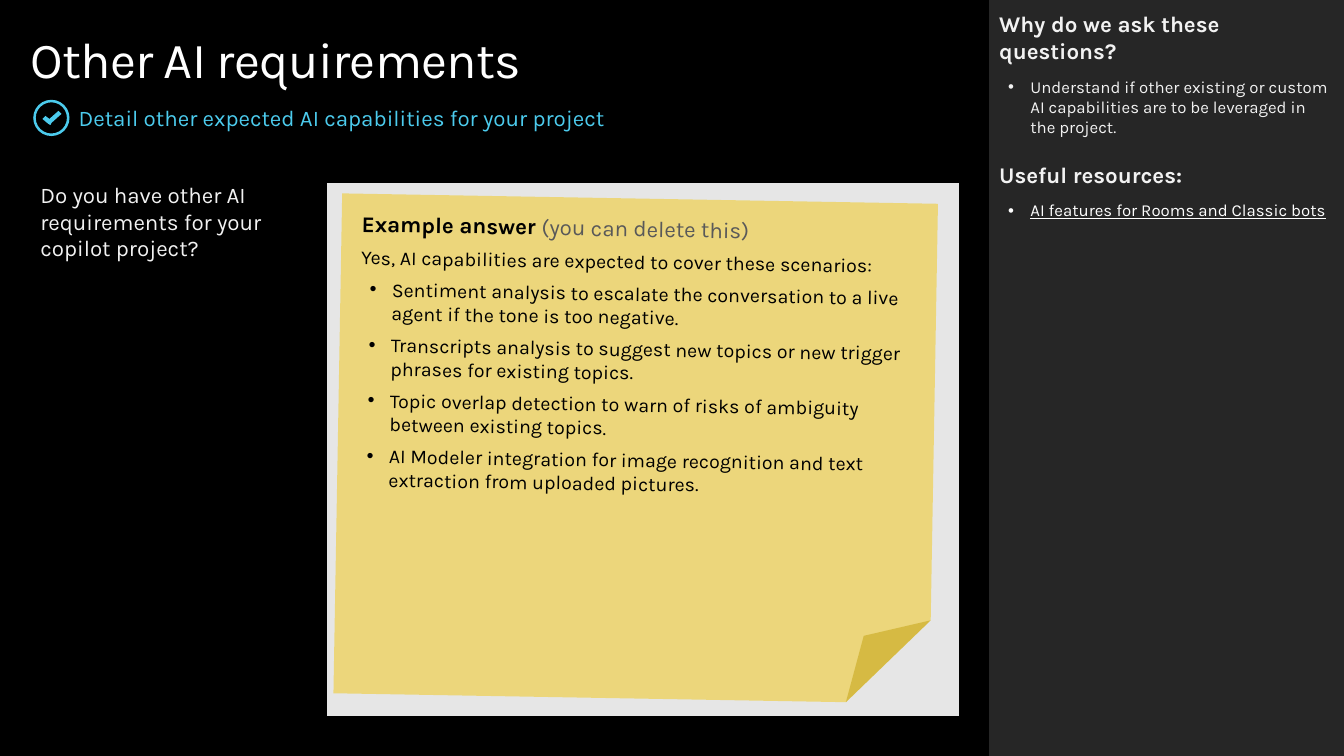
from collections import namedtuple
from dataclasses import dataclass

from lxml.etree import SubElement
from pptx import Presentation
from pptx.dml.color import RGBColor
from pptx.enum.shapes import MSO_SHAPE
from pptx.enum.text import MSO_ANCHOR, MSO_AUTO_SIZE, PP_ALIGN
from pptx.oxml.ns import qn
from pptx.util import Inches, Pt

Box = namedtuple("Box", "x y w h")


@dataclass(frozen=True)
class Theme:
    face: str = "Karla"
    black: str = "000000"
    white: str = "FFFFFF"
    panel: str = "262626"
    pale: str = "F2F2F2"
    accent: str = "4CCBED"
    answer: str = "E6E6E6"
    note: str = "F2C811"
    hint: str = "595959"
    title: int = 36
    head: int = 16
    body: int = 14
    small: int = 12


T = Theme()


def rgb(value):
    return RGBColor.from_string(value)


def place(sp, box):
    for name, value in zip(("left", "top", "width", "height"), box):
        setattr(sp, name, Inches(value))


def paint(sp, color):
    sp.shadow.inherit = False
    sp.fill.solid()
    sp.fill.fore_color.rgb = rgb(color)
    sp.line.fill.background()


def style(font, size, color, **extra):
    fmt = {"name": T.face, "size": Pt(size), "bold": False, **extra}
    for name, value in fmt.items():
        setattr(font, name, value)
    font.color.rgb = rgb(color)


def frame(tf, inset=(0, 0), anchor=MSO_ANCHOR.TOP):
    fmt = {"word_wrap": True, "auto_size": MSO_AUTO_SIZE.NONE, "vertical_anchor": anchor,
           "margin_left": Inches(inset[0]), "margin_right": Inches(inset[0]),
           "margin_top": Inches(inset[1]), "margin_bottom": Inches(inset[1])}
    for name, value in fmt.items():
        setattr(tf, name, value)


def write(tf, index, runs, bullet=False, before=0, after=0):
    p = tf.add_paragraph() if index else tf.paragraphs[0]
    pPr = p._p.get_or_add_pPr()
    pPr.set("marL", str(Inches(0.31 if bullet else 0)))
    pPr.set("indent", str(Inches(-0.22 if bullet else 0)))
    if bullet:
        SubElement(pPr, qn("a:buFont")).set("typeface", "Arial")
        SubElement(pPr, qn("a:buChar")).set("char", "•")
    else:
        SubElement(pPr, qn("a:buNone"))
    fmt = {"alignment": PP_ALIGN.LEFT, "space_before": Pt(before), "space_after": Pt(after)}
    for name, value in fmt.items():
        setattr(p, name, value)
    for text, size, color, extra in runs:
        r = p.add_run()
        r.text = text
        style(r.font, size, color, **extra)
    return p


def add_header(s, box):
    title, sub = s.shapes.title, s.placeholders[1]
    place(title, Box(box.x, box.y, box.w, 0.61))
    frame(title.text_frame)
    p = write(title.text_frame, 0, [("Other AI requirements", T.title, T.white, {})])
    p.runs[0].font._element.set("spc", "-50")

    place(sub, Box(box.x + 0.48, box.y + 0.75, box.w - 0.48, 0.27))
    frame(sub.text_frame, anchor=MSO_ANCHOR.MIDDLE)
    write(sub.text_frame, 0, [("Detail other expected AI capabilities for your project",
                               T.head, T.accent, {})])
    add_check(s, Box(box.x + 0.03, box.y + 0.71, 0.36, 0.36))


def add_check(s, box):
    ring = s.shapes.add_shape(MSO_SHAPE.DONUT, *map(Inches, box))
    ring.adjustments[0] = 0.07
    paint(ring, T.accent)
    tick = [(0.25, 0.11), (0.16, 0.19), (0.12, 0.16), (0.09, 0.19),
            (0.15, 0.24), (0.17, 0.25), (0.18, 0.23), (0.28, 0.14)]
    points = [(Inches(box.x + x), Inches(box.y + y)) for x, y in tick]
    fb = s.shapes.build_freeform(*points[0])
    fb.add_line_segments(points[1:], close=True)
    paint(fb.convert_to_shape(), T.accent)


def add_sidebar(s, box):
    panel = s.shapes.add_shape(MSO_SHAPE.RECTANGLE, *map(Inches, box))
    paint(panel, T.panel)
    panel._element.getparent().insert(2, panel._element)

    body = s.placeholders[2]
    place(body, box._replace(h=2.3))
    frame(body.text_frame, (0.1, 0.1))
    sections = [
        ("Why do we ask these questions?",
         "Understand if other existing or custom AI capabilities are to be leveraged "
         "in the project.", T.pale, {}),
        ("Useful resources:", "AI features for Rooms and Classic bots", T.white,
         {"underline": True}),
    ]
    for i, (head, item, color, extra) in enumerate(sections):
        write(body.text_frame, 2 * i, [(head, T.head, T.pale, {"bold": True})],
              before=17 * i, after=6)
        write(body.text_frame, 2 * i + 1, [(item, T.small, color, extra)], True, before=3)


def add_question(s, box):
    gf = s.shapes.add_table(1, 2, *map(Inches, box))
    tbl = gf.table
    for name in ("first_row", "horz_banding"):
        setattr(tbl, name, False)
    for col, width in zip(tbl.columns, (2.84, box.w - 2.84)):
        col.width = Inches(width)
    for cell, fill in zip(tbl.rows[0].cells, (None, T.answer)):
        for side, value in {"left": 0, "right": 0.1, "top": 0, "bottom": 0}.items():
            setattr(cell, "margin_" + side, Inches(value))
        tcPr = cell._tc.get_or_add_tcPr()
        for edge in ("L", "R", "T", "B"):
            ln = SubElement(tcPr, qn("a:ln" + edge))
            if edge == "B":
                ln.set("w", str(Pt(6)))
                line = SubElement(ln, qn("a:solidFill"))
                SubElement(line, qn("a:srgbClr")).set("val", T.black)
            else:
                SubElement(ln, qn("a:noFill"))
        if fill:
            cell.fill.solid()
            cell.fill.fore_color.rgb = rgb(fill)
        else:
            cell.fill.background()
    write(tbl.cell(0, 0).text_frame, 0,
          [("Do you have other AI requirements for your copilot project?", T.head, T.pale, {})])


def add_note(s, box):
    sp = s.shapes.add_shape(MSO_SHAPE.FOLDED_CORNER, *map(Inches, box))
    paint(sp, T.note)
    sp.rotation = 1
    color = sp._element.spPr.find(".//" + qn("a:srgbClr"))
    SubElement(color, qn("a:alpha")).set("val", "50000")
    frame(sp.text_frame, (0.2, 0.16))
    write(sp.text_frame, 0, [("Example answer ", T.head, T.black, {"bold": True}),
                             ("(you can delete this)", T.head, T.hint, {})], after=6)
    lines = [
        "Yes, AI capabilities are expected to cover these scenarios:",
        "Sentiment analysis to escalate the conversation to a live agent if the tone is "
        "too negative.",
        "Transcripts analysis to suggest new topics or new trigger phrases for existing topics.",
        "Topic overlap detection to warn of risks of ambiguity between existing topics.",
        "AI Modeler integration for image recognition and text extraction from uploaded pictures.",
    ]
    for i, text in enumerate(lines, 1):
        write(sp.text_frame, i, [(text, T.body, T.black, {})], i > 1, after=6)


def main():
    prs = Presentation()
    prs.slide_width, prs.slide_height = Inches(13.33), Inches(7.5)
    s = prs.slides.add_slide(prs.slide_layouts[3])
    s.background.fill.solid()
    s.background.fill.fore_color.rgb = rgb(T.black)
    add_sidebar(s, Box(9.81, 0, 3.52, 7.5))
    add_header(s, Box(0.3, 0.28, 9.21, 1.1))
    add_question(s, Box(0.4, 1.82, 9.11, 5.32))
    add_note(s, Box(3.35, 1.97, 5.91, 4.96))
    prs.save("out.pptx")


if __name__ == "__main__":
    main()
